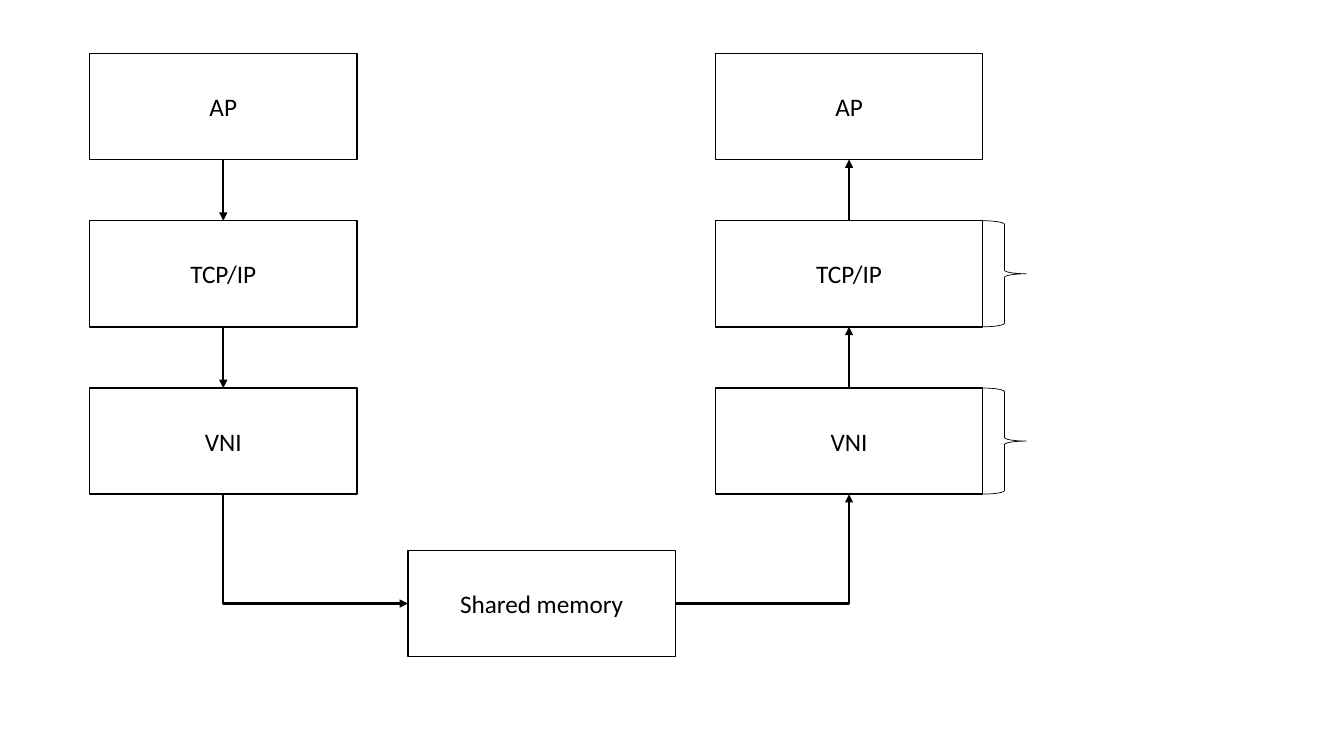
from lxml.etree import SubElement
from pptx import Presentation
from pptx.dml.color import RGBColor
from pptx.enum.shapes import MSO_CONNECTOR as Connector, MSO_SHAPE as Preset
from pptx.enum.text import MSO_ANCHOR as Anchor, PP_ALIGN as Align
from pptx.oxml.ns import qn
from pptx.util import Pt

BLACK = "000000"
WHITE = "FFFFFF"
LAYERS = ["AP", "TCP/IP", "VNI"]
BOX_WIDTH, BOX_HEIGHT = 191, 75.8
SENDER_LEFT, RECEIVER_LEFT = 64, 511
STACK_TOP, LAYER_PITCH = 38.2, 119.5
BRACE_WIDTH = 31
TOP, LEFT, BOTTOM, RIGHT = range(4)


def color(value):
    return RGBColor.from_string(value)


def set_line(shape, width):
    shape.line.color.rgb = color(BLACK)
    shape.line.width = Pt(width)


def add_box(page, text, left, top):
    box = page.shapes.add_shape(
        Preset.RECTANGLE, Pt(left), Pt(top), Pt(BOX_WIDTH), Pt(BOX_HEIGHT))
    box.shadow.inherit = False
    box.fill.solid()
    box.fill.fore_color.rgb = color(WHITE)
    set_line(box, 1)
    frame = box.text_frame
    frame.text = text
    frame.vertical_anchor = Anchor.MIDDLE
    para = frame.paragraphs[0]
    para.alignment = Align.CENTER
    span = para.runs[0]
    span.font.name = "Calibri"
    span.font.size = Pt(18)
    span.font.color.rgb = color(BLACK)
    return box


def add_stack(page, left):
    return [add_box(page, layer, left, STACK_TOP + row * LAYER_PITCH)
            for row, layer in enumerate(LAYERS)]


def add_arrow(page, source, source_side, target, target_side, kind=Connector.STRAIGHT):
    arrow = page.shapes.add_connector(kind, 0, 0, 0, 0)
    arrow.begin_connect(source, source_side)
    arrow.end_connect(target, target_side)
    set_line(arrow, 1.5)
    SubElement(arrow.line._get_or_add_ln(), qn("a:tailEnd"), type="triangle")
    SubElement(arrow._element.spPr, qn("a:effectLst"))
    return arrow


def add_elbow(page, source, source_side, target, target_side):
    elbow = add_arrow(page, source, source_side, target, target_side, Connector.ELBOW)
    properties = elbow._element.spPr
    properties.find(qn("a:prstGeom")).set("prst", "bentConnector2")
    if source_side == BOTTOM:
        width, height = elbow.width, elbow.height
        elbow.left += (width - height) // 2
        elbow.top += (height - width) // 2
        elbow.width, elbow.height = height, width
        frame = properties.find(qn("a:xfrm"))
        frame.set("rot", str(270 * 60000))
        frame.set("flipH", "1")


def add_brace(page, box):
    brace = page.shapes.add_shape(
        Preset.RIGHT_BRACE, box.left + box.width, box.top, Pt(BRACE_WIDTH), box.height)
    brace.shadow.inherit = False
    brace.fill.background()
    set_line(brace, 0.5)


def main():
    deck = Presentation()
    deck.slide_width, deck.slide_height = Pt(960), Pt(540)
    page = deck.slides.add_slide(deck.slide_layouts[6])

    sender = add_stack(page, SENDER_LEFT)
    receiver = add_stack(page, RECEIVER_LEFT)
    memory = add_box(page, "Shared memory", 291.4, 393.2)

    for upper, lower in zip(sender, sender[1:]):
        add_arrow(page, upper, BOTTOM, lower, TOP)
    for upper, lower in zip(receiver, receiver[1:]):
        add_arrow(page, lower, TOP, upper, BOTTOM)
    add_elbow(page, sender[-1], BOTTOM, memory, LEFT)
    add_elbow(page, memory, RIGHT, receiver[-1], BOTTOM)
    for box in receiver[1:]:
        add_brace(page, box)

    deck.save("out.pptx")


main()
